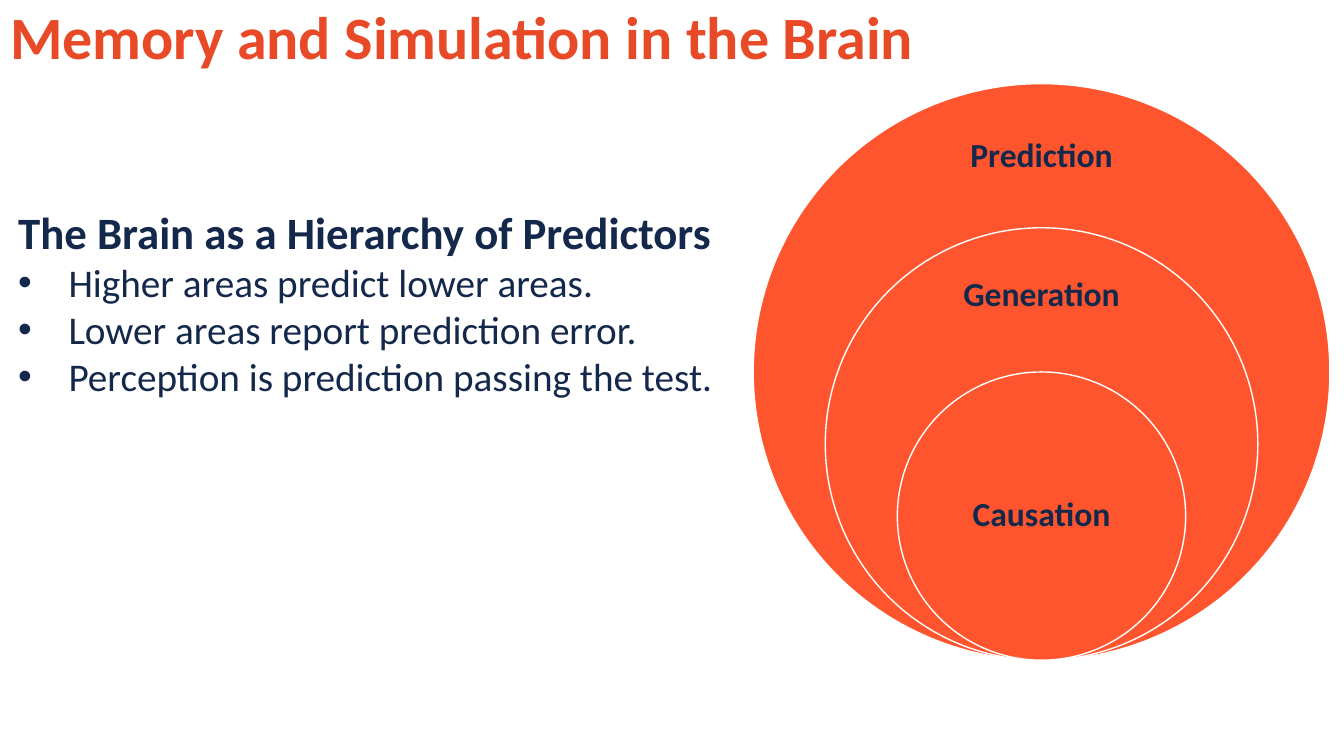
"""Build a slide on the brain as a hierarchy of predictors."""
from dataclasses import dataclass

import pptx
import pptx.dml.color
import pptx.enum.shapes
import pptx.enum.text
import pptx.oxml.ns
import pptx.slide
import pptx.text.text
import pptx.util
from lxml import etree

Inches = pptx.util.Inches

COLORS = {"title": "E84A27", "text": "13284B", "circle": "FF552E", "outline": "FFFFFF"}
FONT = "Calibri"
CENTER_X, CIRCLE_BOTTOM, LARGEST = 10.33, 6.55, 5.72
LABEL_WIDTH, LABEL_HEIGHT = 2.02, 0.86
BULLETS = [
    "Higher areas predict lower areas.",
    "Lower areas report prediction error.",
    "Perception is prediction passing the test.",
]


@dataclass
class Ring:
    """One nested circle with its label."""

    label: str
    scale: float
    label_center: float


RINGS = [
    Ring("Prediction", 1, 1.55),
    Ring("Generation", 0.75, 2.93),
    Ring("Causation", 0.5, 5.12),
]


def color(name: str) -> pptx.dml.color.RGBColor:
    """Look up a named colour."""
    return pptx.dml.color.RGBColor.from_string(COLORS[name])


def place(box, left: float, top: float, width: float, height: float) -> None:
    """Move and size a shape, in inches."""
    box.left, box.top = Inches(left), Inches(top)
    box.width, box.height = Inches(width), Inches(height)


def style(para: pptx.text.text._Paragraph, size: float, bold: bool, tint: str = "text") -> None:
    """Set the font of a whole paragraph."""
    para.font.name = FONT
    para.font.size = pptx.util.Pt(size)
    para.font.bold = bold
    para.font.color.rgb = color(tint)


def set_bullet(para: pptx.text.text._Paragraph, symbol: str = "", indent: float = 0) -> None:
    """Give a paragraph a hanging bullet, or none without a symbol."""
    properties = para._p.get_or_add_pPr()
    properties.set("marL", str(Inches(indent)))
    properties.set("indent", str(-Inches(indent)))
    qualify = pptx.oxml.ns.qn
    if symbol:
        etree.SubElement(properties, qualify("a:buFont"), typeface="Arial")
        etree.SubElement(properties, qualify("a:buChar"), char=symbol)
    else:
        etree.SubElement(properties, qualify("a:buNone"))


def fill_title(page: pptx.slide.Slide) -> None:
    """Write the slide title."""
    box = page.shapes.title
    place(box, 0, 0, 12.56, 0.8)
    frame = box.text_frame
    frame.text = "Memory and Simulation in the Brain"
    frame.auto_size = pptx.enum.text.MSO_AUTO_SIZE.NONE
    frame.vertical_anchor = pptx.enum.text.MSO_ANCHOR.MIDDLE
    para = frame.paragraphs[0]
    para.alignment = pptx.enum.text.PP_ALIGN.LEFT
    para.line_spacing = 0.9
    style(para, 42.9, True, "title")


def fill_body(page: pptx.slide.Slide) -> None:
    """Write the heading and its bullet list."""
    box = page.placeholders[1]
    place(box, 0.08, 1.98, 7.11, 2.49)
    frame = box.text_frame
    frame.text = "\n".join(["The Brain as a Hierarchy of Predictors", *BULLETS])
    frame.auto_size = pptx.enum.text.MSO_AUTO_SIZE.NONE
    heading, *items = frame.paragraphs
    for para in frame.paragraphs:
        para.space_before = pptx.util.Pt(0)
    set_bullet(heading)
    style(heading, 32, True)
    for para in items:
        set_bullet(para, "•", 0.5)
        style(para, 28, False)


def draw_ring(page: pptx.slide.Slide, ring: Ring) -> None:
    """Draw a circle resting on the common bottom point, with its label."""
    size = LARGEST * ring.scale
    circle = page.shapes.add_shape(
        pptx.enum.shapes.MSO_SHAPE.OVAL,
        Inches(CENTER_X - size / 2), Inches(CIRCLE_BOTTOM - size), Inches(size), Inches(size),
    )
    circle.shadow.inherit = False
    circle.fill.solid()
    circle.fill.fore_color.rgb = color("circle")
    circle.line.color.rgb = color("outline")
    circle.line.width = pptx.util.Pt(1)

    box = page.shapes.add_textbox(
        Inches(CENTER_X - LABEL_WIDTH / 2), Inches(ring.label_center - LABEL_HEIGHT / 2),
        Inches(LABEL_WIDTH), Inches(LABEL_HEIGHT),
    )
    frame = box.text_frame
    frame.word_wrap = True
    frame.vertical_anchor = pptx.enum.text.MSO_ANCHOR.MIDDLE
    frame.margin_left = frame.margin_right = Inches(0.19)
    frame.margin_top = frame.margin_bottom = Inches(0.19)
    frame.text = ring.label
    para = frame.paragraphs[0]
    para.alignment = pptx.enum.text.PP_ALIGN.CENTER
    para.line_spacing = 0.9
    style(para, 24, True)


def main() -> None:
    """Build and save the deck."""
    deck = pptx.Presentation()
    deck.slide_width, deck.slide_height = Inches(13.33), Inches(7.5)
    page = deck.slides.add_slide(deck.slide_layouts[1])
    fill_title(page)
    fill_body(page)
    for ring in RINGS:
        draw_ring(page, ring)
    deck.save("out.pptx")


if __name__ == "__main__":
    main()
